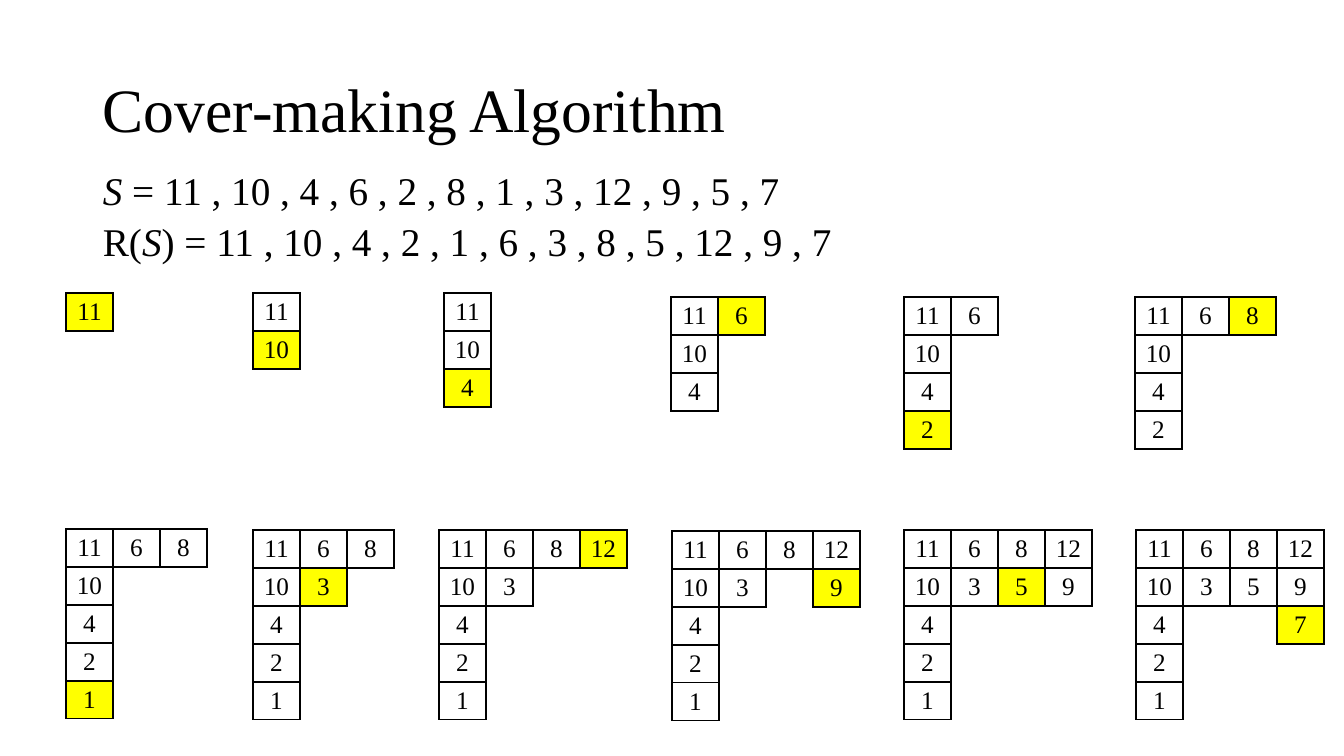
from dataclasses import dataclass

from lxml.etree import SubElement
from pptx import Presentation
from pptx.dml.color import RGBColor
from pptx.enum.text import MSO_ANCHOR, PP_ALIGN
from pptx.oxml.ns import qn
from pptx.util import Emu, Pt

SLIDE_W, SLIDE_H = 1344, 756
SCALE = 12192000 / SLIDE_W
CELL_W, CELL_H, CELL_PAD = 47, 38, 3
NO_GRID_STYLE = "{2D5ABB26-0587-4C30-8999-92F81FD0307C}"


@dataclass(frozen=True)
class Theme:
    font: str = "Times New Roman"
    ink: str = "000000"
    highlight: str = "FFFF00"
    title: int = 44
    body: int = 28
    cell: int = 18
    border: int = 1
    paragraph_gap: int = 10


@dataclass(frozen=True)
class Run:
    text: str
    italic: bool = False


@dataclass(frozen=True)
class TextBlock:
    top: int
    height: int
    size: int
    spacing: float
    anchor: MSO_ANCHOR
    lines: list[list[Run]]


@dataclass(frozen=True)
class Step:
    value: int
    row: int
    col: int
    left: int
    top: int


THEME = Theme()

TEXTS = [
    TextBlock(40, 146, THEME.title, 0.9, MSO_ANCHOR.MIDDLE, [[Run("Cover-making Algorithm")]]),
    TextBlock(170, 103, THEME.body, 0.8, MSO_ANCHOR.TOP, [
        [Run("S", True), Run(" = 11 , 10 , 4 , 6 , 2 , 8 , 1 , 3 , 12 , 9 , 5 , 7")],
        [Run("R("), Run("S", True), Run(") = 11 , 10 , 4 , 2 , 1 , 6 , 3 , 8 , 5 , 12 , 9 , 7")],
    ]),
]

STEPS = [
    Step(11, 0, 0, 66, 293),
    Step(10, 1, 0, 253, 293),
    Step(4, 2, 0, 444, 293),
    Step(6, 0, 1, 671, 297),
    Step(2, 3, 0, 904, 297),
    Step(8, 0, 2, 1135, 297),
    Step(1, 4, 0, 66, 529),
    Step(3, 1, 1, 253, 530),
    Step(12, 0, 3, 439, 530),
    Step(9, 1, 3, 672, 531),
    Step(5, 1, 2, 904, 530),
    Step(7, 2, 3, 1136, 530),
]


def px(n: int) -> Emu:
    return Emu(round(n * SCALE))


def add_run(p, text: str, size: int, italic: bool = False) -> None:
    r = p.add_run()
    r.text = text
    r.font.name = THEME.font
    r.font.size = Pt(size)
    r.font.italic = italic
    r.font.color.rgb = RGBColor.from_string(THEME.ink)


def add_text(s, block: TextBlock) -> None:
    tf = s.shapes.add_textbox(px(93), px(block.top), px(1159), px(block.height)).text_frame
    tf.word_wrap = True
    tf.vertical_anchor = block.anchor
    for i, line in enumerate(block.lines):
        p = tf.add_paragraph() if i else tf.paragraphs[0]
        p.line_spacing = block.spacing
        p.space_before = Pt(THEME.paragraph_gap if i else 0)
        for run in line:
            add_run(p, run.text, block.size, run.italic)


def set_borders(cell, sides: dict[str, bool]) -> None:
    tc_pr = cell._tc.get_or_add_tcPr()
    for side, drawn in sides.items():
        ln = SubElement(tc_pr, qn(f"a:{side}"), w=str(Pt(THEME.border)))
        fill = SubElement(ln, qn("a:solidFill" if drawn else "a:noFill"))
        if drawn:
            SubElement(fill, qn("a:srgbClr"), val=THEME.ink)


def add_cover(s, steps: list[Step]) -> None:
    newest = steps[-1]
    values = {(step.row, step.col): step.value for step in steps}
    rows = 1 + max(step.row for step in steps)
    cols = 1 + max(step.col for step in steps)
    tbl = s.shapes.add_table(rows, cols, px(newest.left), px(newest.top),
                             px(cols * CELL_W), px(rows * CELL_H)).table
    tbl.first_row = tbl.horz_banding = False
    tbl._tbl.tblPr.find(qn("a:tableStyleId")).text = NO_GRID_STYLE
    for column in tbl.columns:
        column.width = px(CELL_W)
    for row in tbl.rows:
        row.height = px(CELL_H)
    for r in range(rows):
        for c in range(cols):
            cell = tbl.cell(r, c)
            cell.margin_top = cell.margin_bottom = px(CELL_PAD)
            cell.vertical_anchor = MSO_ANCHOR.MIDDLE
            neighbours = {"lnL": (r, c - 1), "lnR": (r, c + 1),
                          "lnT": (r - 1, c), "lnB": (r + 1, c)}
            filled = (r, c) in values
            set_borders(cell, {side: filled or spot in values
                               for side, spot in neighbours.items()})
            if (r, c) == (newest.row, newest.col):
                cell.fill.solid()
                cell.fill.fore_color.rgb = RGBColor.from_string(THEME.highlight)
            else:
                cell.fill.background()
            if filled:
                p = cell.text_frame.paragraphs[0]
                p.alignment = PP_ALIGN.CENTER
                add_run(p, str(values[r, c]), THEME.cell)


def main() -> None:
    prs = Presentation()
    prs.slide_width, prs.slide_height = px(SLIDE_W), px(SLIDE_H)
    s = prs.slides.add_slide(prs.slide_layouts[6])
    for block in TEXTS:
        add_text(s, block)
    for count in range(1, len(STEPS) + 1):
        add_cover(s, STEPS[:count])
    prs.save("out.pptx")


if __name__ == "__main__":
    main()
